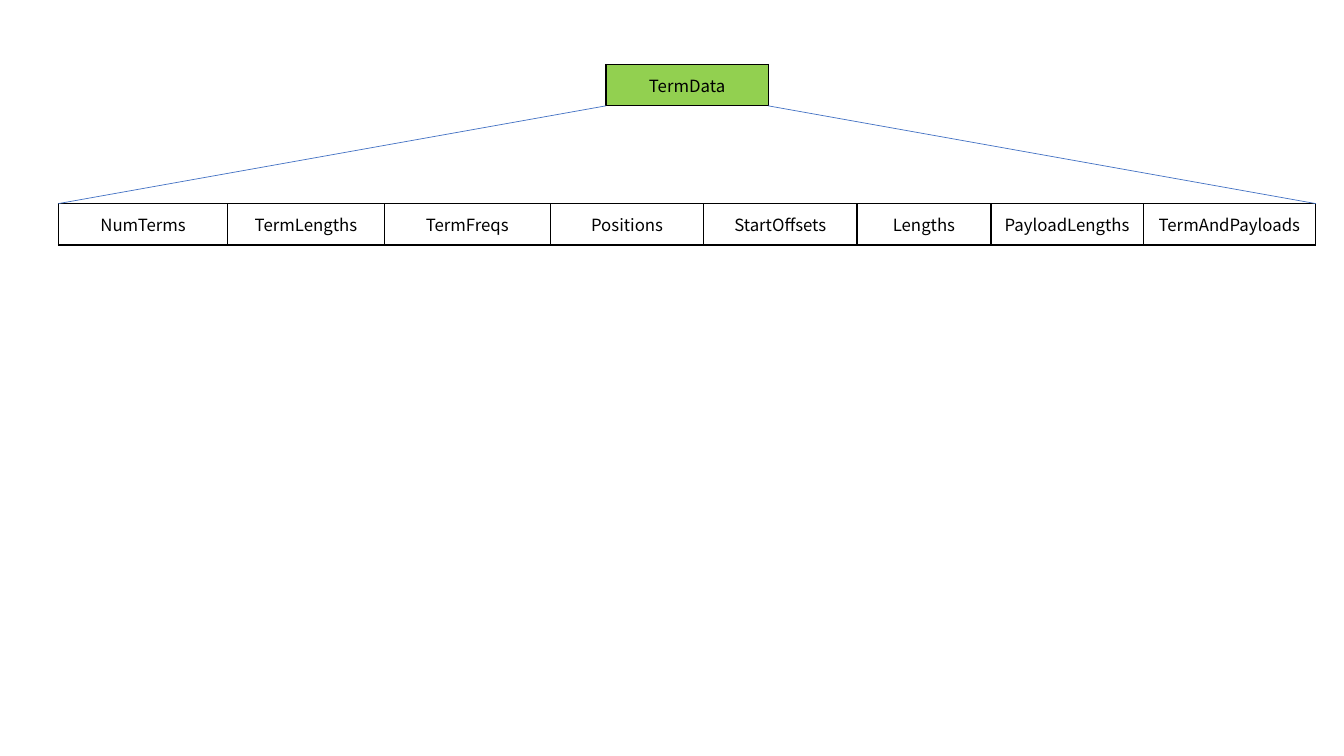
"""Build a slide that shows the fields inside TermData."""
from lxml import etree
from pptx import Presentation
from pptx.dml.color import RGBColor
from pptx.enum.shapes import MSO_CONNECTOR
from pptx.enum.text import MSO_ANCHOR, PP_ALIGN
from pptx.oxml import parse_xml
from pptx.oxml.ns import qn
from pptx.util import Inches, Pt

ROOT = [("TermData", 1.61)]
FIELDS = [
    ("NumTerms", 1.68),
    ("TermLengths", 1.55),
    ("TermFreqs", 1.65),
    ("Positions", 1.52),
    ("StartOffsets", 1.52),
    ("Lengths", 1.33),
    ("PayloadLengths", 1.51),
    ("TermAndPayloads", 1.71),
]
COLORS = {"root": "92D050", "field": "FFFFFF", "ink": "000000", "link": "4472C4"}
FONT = "Noto Sans CJK SC"
ROW = 0.41
ROOT_LEFT, ROOT_TOP = 6.01, 0.64
FIELD_LEFT, FIELD_TOP = 0.58, 2.02
NS = "http://schemas.openxmlformats.org/drawingml/2006/main"
CENTER, MIDDLE = PP_ALIGN.CENTER, MSO_ANCHOR.MIDDLE
STRAIGHT = MSO_CONNECTOR.STRAIGHT


def color(name):
    return RGBColor.from_string(COLORS[name])


def add_edges(cell):
    props = cell._tc.get_or_add_tcPr()
    for spot, side in enumerate("LRTB"):
        props.insert(spot, parse_xml(
            f'<a:ln{side} xmlns:a="{NS}" w="{Pt(1)}"><a:solidFill>'
            f'<a:srgbClr val="{COLORS["ink"]}"/></a:solidFill></a:ln{side}>'))


def add_row(slide, items, left, top, fill):
    width = sum(size for _, size in items)
    frame = slide.shapes.add_table(
        1, len(items), Inches(left), Inches(top), Inches(width), Inches(ROW))
    table = frame.table
    table.first_row = table.horz_banding = False
    for col, (text, size) in enumerate(items):
        table.columns[col].width = Inches(size)
        cell = table.cell(0, col)
        cell.text = text
        cell.vertical_anchor = MIDDLE
        cell.fill.solid()
        cell.fill.fore_color.rgb = color(fill)
        para = cell.text_frame.paragraphs[0]
        para.alignment = CENTER
        para.font.name, para.font.size = FONT, Pt(12)
        para.font.color.rgb = color("ink")
        add_edges(cell)
    return left + width


def add_link(slide, start, end):
    link = slide.shapes.add_connector(STRAIGHT, *map(Inches, start + end))
    link.line.color.rgb = color("link")
    link.line.width = Pt(0.5)
    etree.SubElement(link._element.spPr, qn("a:effectLst"))


def main():
    deck = Presentation()
    deck.slide_width, deck.slide_height = Inches(13.33), Inches(7.5)
    slide = deck.slides.add_slide(deck.slide_layouts[6])
    root_right = add_row(slide, ROOT, ROOT_LEFT, ROOT_TOP, "root")
    field_right = add_row(slide, FIELDS, FIELD_LEFT, FIELD_TOP, "field")
    base = ROOT_TOP + ROW
    add_link(slide, (ROOT_LEFT, base), (FIELD_LEFT, FIELD_TOP))
    add_link(slide, (field_right, FIELD_TOP), (root_right, base))
    deck.save("out.pptx")


if __name__ == "__main__":
    main()
